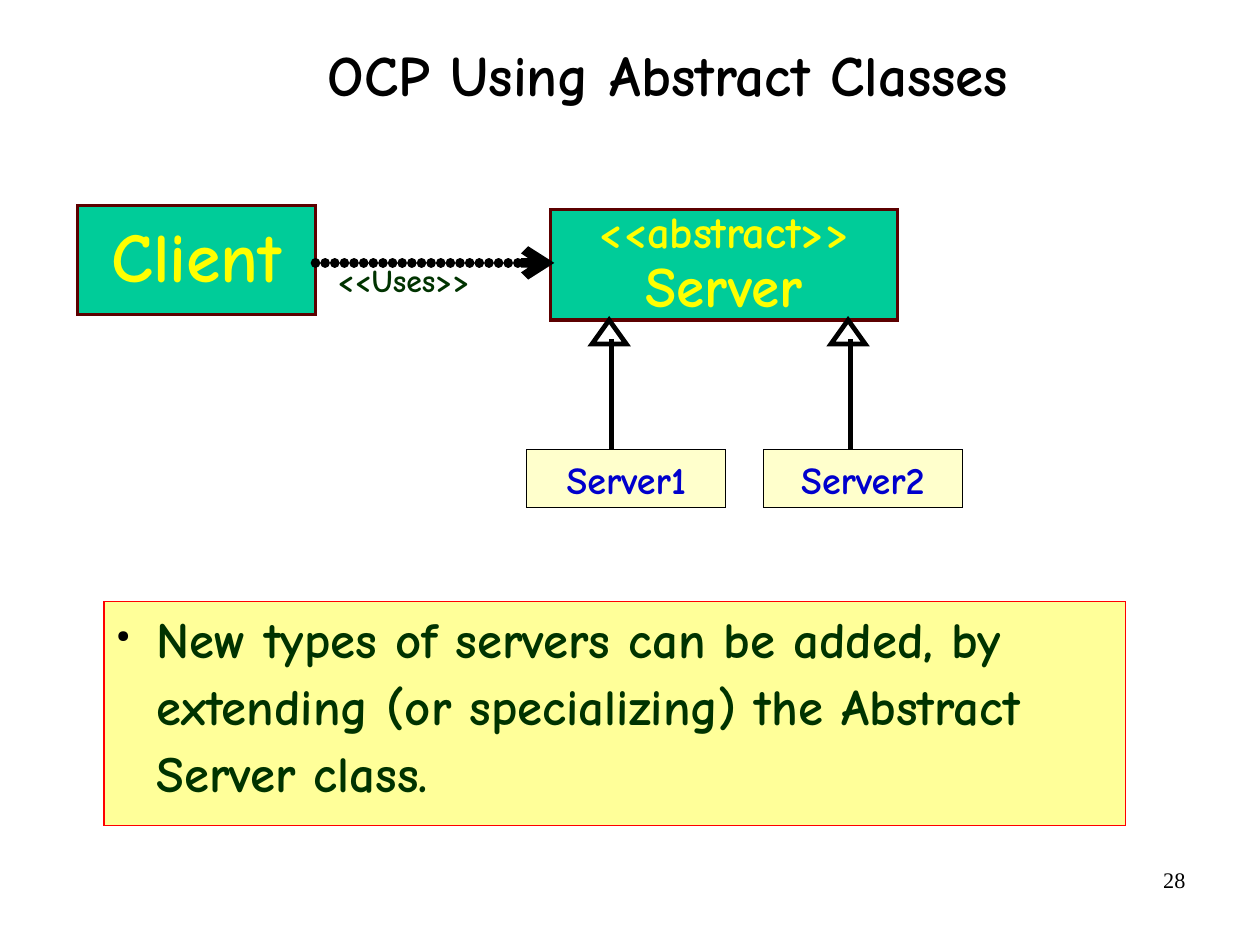
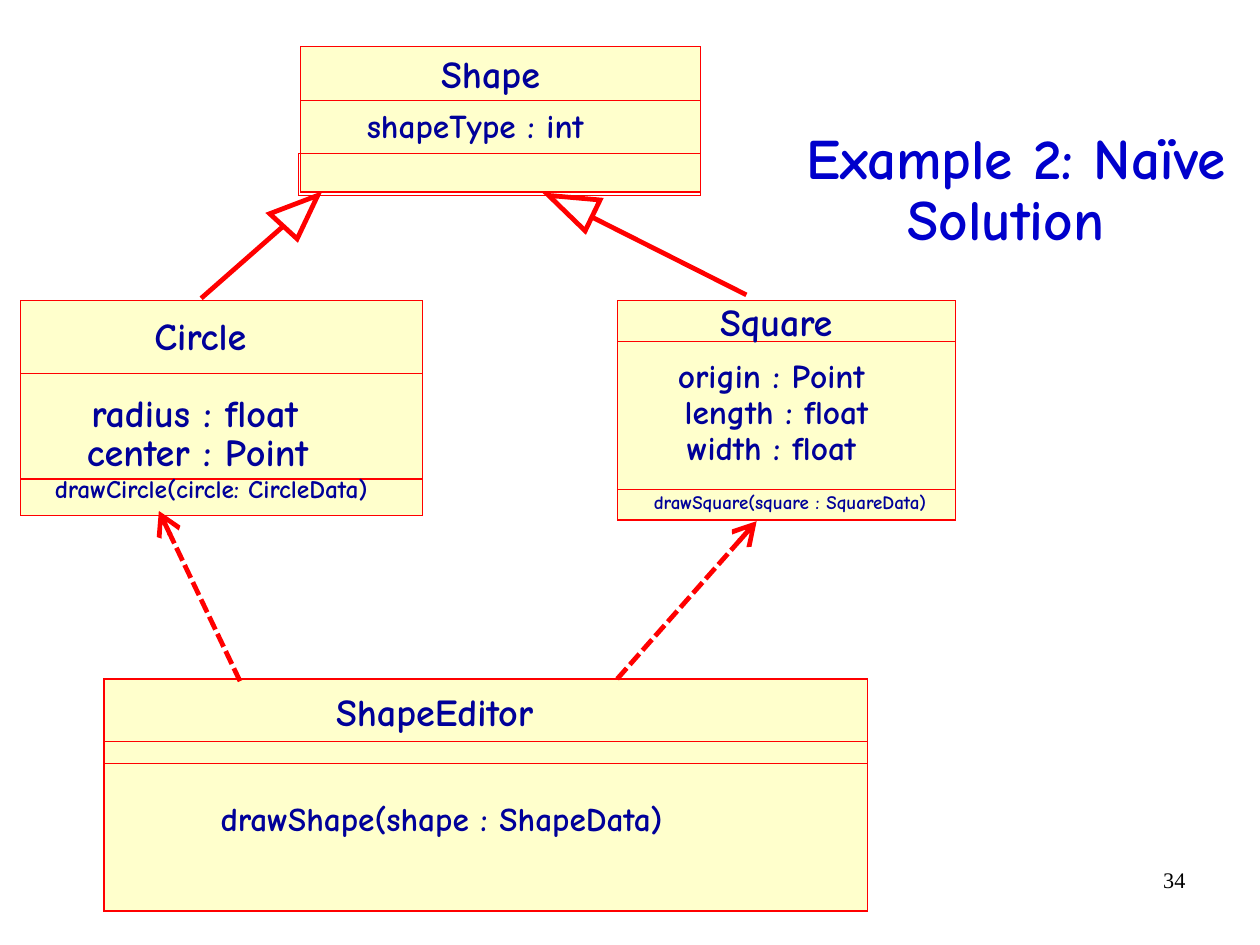
from pptx import Presentation
from pptx.dml.color import RGBColor
from pptx.enum.shapes import MSO_CONNECTOR, MSO_SHAPE
from pptx.enum.text import MSO_ANCHOR, MSO_AUTO_SIZE, PP_ALIGN
from pptx.oxml import parse_xml
from pptx.oxml.ns import nsdecls
from pptx.util import Cm, Inches, Pt

LEFT, MID, RIGHT = PP_ALIGN.LEFT, PP_ALIGN.CENTER, PP_ALIGN.RIGHT
TOP, CORE = MSO_ANCHOR.TOP, MSO_ANCHOR.MIDDLE
GROW = MSO_AUTO_SIZE.SHAPE_TO_FIT_TEXT
RECT, PEAK = MSO_SHAPE.RECTANGLE, MSO_SHAPE.ISOSCELES_TRIANGLE
STRAIGHT = MSO_CONNECTOR.STRAIGHT

BLACK, WHITE, RED = "000000", "FFFFFF", "FF0000"
BLUE, NAVY, GREEN = "0000CC", "000099", "003300"
CREAM, TEAL, MAROON = "FFFFCC", "00CC99", "5C0000"
LEMON, YELLOW = "FFFF99", "FFFF00"

DOTS = '<a:custDash {}><a:ds d="100000" sp="1000"/></a:custDash>'
DASH = '<a:prstDash {} val="sysDash"/>'
MITER = '<a:miter {} lim="800000"/>'
ARROW = '<a:tailEnd {} type="arrow"/>'
WIDE = '<a:tailEnd {} type="arrow" w="lg" len="lg"/>'


def rgb(code):
    return RGBColor.from_string(code)


def xml(text):
    return parse_xml(text.format(nsdecls("a")))


def write(shape, lines, size=24, color=NAVY, align=LEFT, anchor=TOP, space=None,
          after=None, pad=(0, 0), font="Comic Neue", bold=True, wrap=True, bullet=False):
    frame = shape.text_frame
    frame.word_wrap, frame.vertical_anchor = wrap, anchor
    if not wrap:
        frame.auto_size = GROW
    frame.margin_left = frame.margin_right = Inches(pad[0])
    frame.margin_top = frame.margin_bottom = Inches(pad[1])
    sizes = size if isinstance(size, tuple) else (size,) * len(lines)
    for i, (line, points) in enumerate(zip(lines, sizes)):
        para = frame.add_paragraph() if i else frame.paragraphs[0]
        para.text, para.alignment = line, align
        if space:
            para.line_spacing = space
        if after:
            para.space_after = Pt(after)
        if bullet:
            props = para._p.get_or_add_pPr()
            props.set("marL", str(Inches(0.46)))
            props.set("indent", str(Inches(-0.35)))
            for part in ('<a:buClr {}><a:srgbClr val="000000"/></a:buClr>',
                         '<a:buSzPct {} val="33000"/>', '<a:buChar {} char="●"/>'):
                props.append(xml(part))
        for run in para.runs:
            run.font.name, run.font.size, run.font.bold = font, Pt(points), bold
            run.font.color.rgb = rgb(color)


class Deck:
    """Holds the shared style and the slide being drawn."""

    def __init__(self):
        self.show = Presentation()
        self.show.slide_width = Cm(28)
        self.show.slide_height = Cm(21)

    def page(self, number, title, spot, color):
        self.shapes = self.show.slides.add_slide(self.show.slide_layouts[6]).shapes
        self.label(7.9, 7.53, 2.57, 0.57, str(number), size=14, color=BLACK, align=RIGHT,
                   pad=(0.1, 0.05), font="Times New Roman", bold=False)
        self.label(*spot, title, size=36, color=color, align=MID, anchor=CORE, space=0.88)

    def label(self, x, y, w, h, text, **style):
        write(self.shapes.add_textbox(*map(Inches, (x, y, w, h))), [text], **style)

    def box(self, x, y, w, h, fill=None, line=RED, width=0, kind=RECT):
        shape = self.shapes.add_shape(kind, *map(Inches, (x, y, w, h)))
        self.paint(shape, fill, line, width)
        return shape

    def paint(self, shape, fill, line, width):
        shape.shadow.inherit = False
        if fill:
            shape.fill.solid()
            shape.fill.fore_color.rgb = rgb(fill)
        else:
            shape.fill.background()
        self.edge(shape, line, width, (MITER,))

    def edge(self, shape, color, width, extras):
        shape.line.color.rgb, shape.line.width = rgb(color), Pt(width)
        edge = shape.line._get_or_add_ln()
        if DOTS in extras:
            edge.set("cap", "rnd")
        for part in extras:
            edge.append(xml(part))

    def link(self, start, end, color=RED, width=3, extras=()):
        line = self.shapes.add_connector(STRAIGHT, *map(Inches, start + end))
        self.edge(line, color, width, extras)
        line._element.spPr.append(xml("<a:effectLst {}/>"))

    def head(self, points):
        spots = [tuple(map(Inches, p)) for p in points]
        pen = self.shapes.build_freeform(*spots[0])
        pen.add_line_segments(spots[1:], close=True)
        self.paint(pen.convert_to_shape(), WHITE, RED, 3)

    def uml(self, x, y, w, h, cuts, rows):
        self.box(x, y, w, h, CREAM)
        for cut in cuts:
            self.box(x, cut, w, y + h - cut)
        for left, top, wide, size, text in rows:
            self.label(left, top, wide, size / 60, text, size=size, wrap=False)


def servers(deck):
    deck.page(28, "OCP Using Abstract Classes", (0.93, 0, 9.83, 1.37), BLACK)
    note = deck.box(0.91, 5.26, 8.94, 1.96, LEMON, RED, 0.75)
    write(note, ["New types of servers can be added, by extending (or specializing) "
                 "the Abstract Server class."],
          size=32, color=GREEN, space=1.1, after=13.8, bullet=True)
    for spot, lines, size in (((0.68, 1.8, 2.08, 0.95), ["Client"], 44),
                              ((4.82, 1.83, 3.03, 0.97), ["<<abstract>>", "Server"], (28, 36))):
        write(deck.box(*spot, TEAL, MAROON, 2), lines, size=size, color=YELLOW,
              align=MID, anchor=CORE, space=0.9, pad=(0.11, 0.06))
    deck.link((2.76, 2.3), (4.85, 2.3), BLACK, 6, (DOTS, ARROW))
    for i, tip in enumerate((5.33, 7.42)):
        child = deck.box(4.61 + 2.07 * i, 3.93, 1.74, 0.51, CREAM, BLACK, 0.75)
        write(child, [f"Server{i + 1}"], color=BLUE, align=MID, pad=(0.11, 0.06))
        deck.link((tip + 0.02, 2.97), (tip + 0.02, 3.93), BLACK)
        deck.box(tip - 0.15, 2.8, 0.3, 0.21, None, BLACK, 3, PEAK)
    deck.label(2.85, 2.3, 1.75, 0.37, "<<Uses>>", size=20, color=GREEN, space=0.8,
               pad=(0.1, 0.05))


def figures(deck):
    deck.page(34, "Example 2: Naïve\vSolution ", (6.76, 1.16, 4.26, 1.04), BLUE)
    deck.uml(0.18, 2.63, 3.52, 1.88, (3.27, 4.19), (
        (1.35, 2.73, 0.82, 24, "Circle"),
        (0.8, 3.41, 1.82, 24, "radius : float"),
        (0.76, 3.75, 1.94, 24, "center : Point"),
        (0.48, 4.14, 2.77, 16, "drawCircle(circle: CircleData)")))
    deck.uml(5.4, 2.63, 2.96, 1.92, (2.99, 4.28), (
        (6.3, 2.61, 0.99, 24, "Square"),
        (5.93, 3.11, 1.65, 21, "origin : Point"),
        (5.99, 3.42, 1.61, 21, "length : float"),
        (6.01, 3.74, 1.48, 21, "width : float"),
        (5.72, 4.29, 2.41, 12, "drawSquare(square : SquareData)")))
    deck.uml(0.91, 5.94, 6.68, 2.03, (6.49, 6.68), (
        (2.94, 6.02, 1.73, 24, "ShapeEditor"),
        (1.93, 6.98, 3.88, 21, "drawShape(shape : ShapeData)")))
    deck.uml(2.63, 0.41, 3.5, 1.27, (0.88,), (
        (3.86, 0.44, 0.87, 24, "Shape"),
        (3.21, 0.92, 1.9, 21, "shapeType : int")))
    deck.box(2.61, 1.34, 3.52, 0.37)
    for start, end in (((2.1, 5.96), (1.39, 4.47)), ((5.4, 5.94), (6.62, 4.56))):
        deck.link(start, end, extras=(DASH, WIDE))
    for start, end, tip in (
            ((1.76, 2.61), (2.58, 1.89), ((2.78, 1.71), (2.6, 2.09), (2.36, 1.87))),
            ((6.53, 2.58), (5.16, 1.89), ((4.8, 1.71), (5.25, 1.75), (5.12, 2.02)))):
        deck.link(start, end)
        deck.head(tip)


def main():
    deck = Deck()
    servers(deck)
    figures(deck)
    deck.show.save("out.pptx")


if __name__ == "__main__":
    main()
